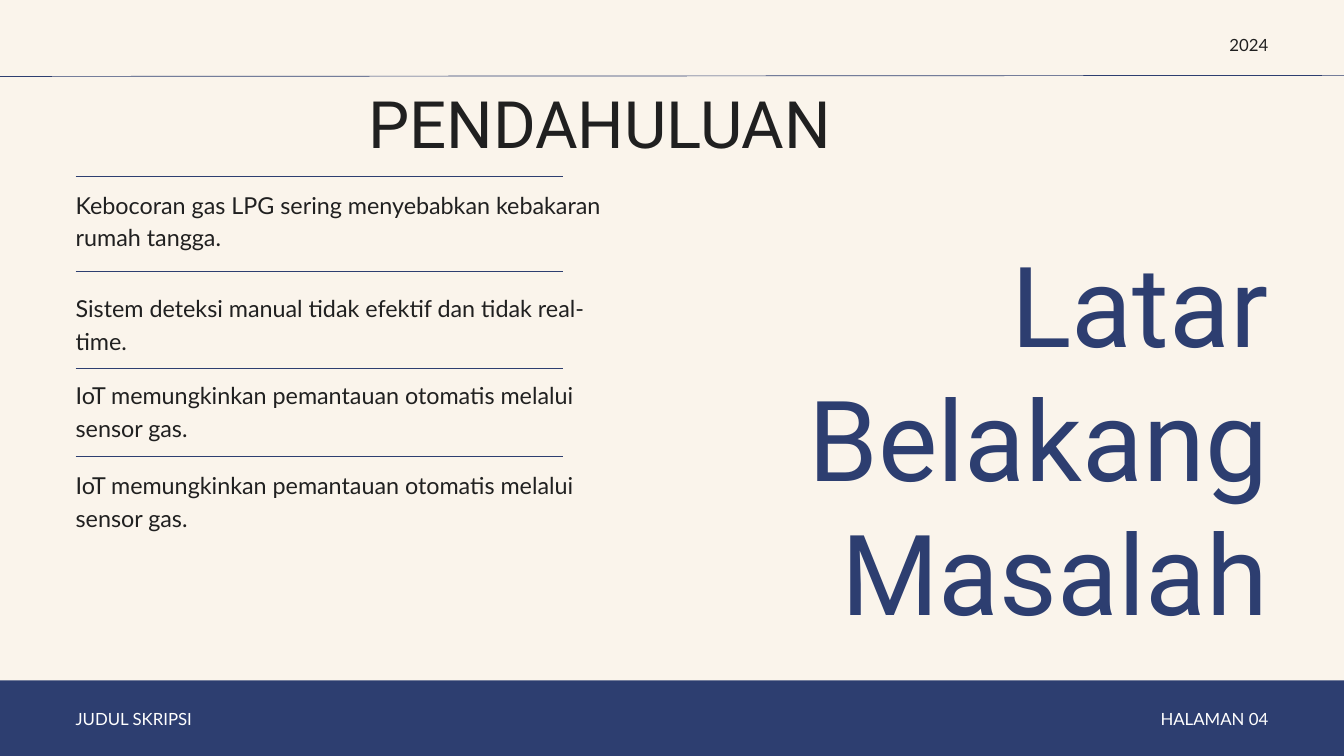
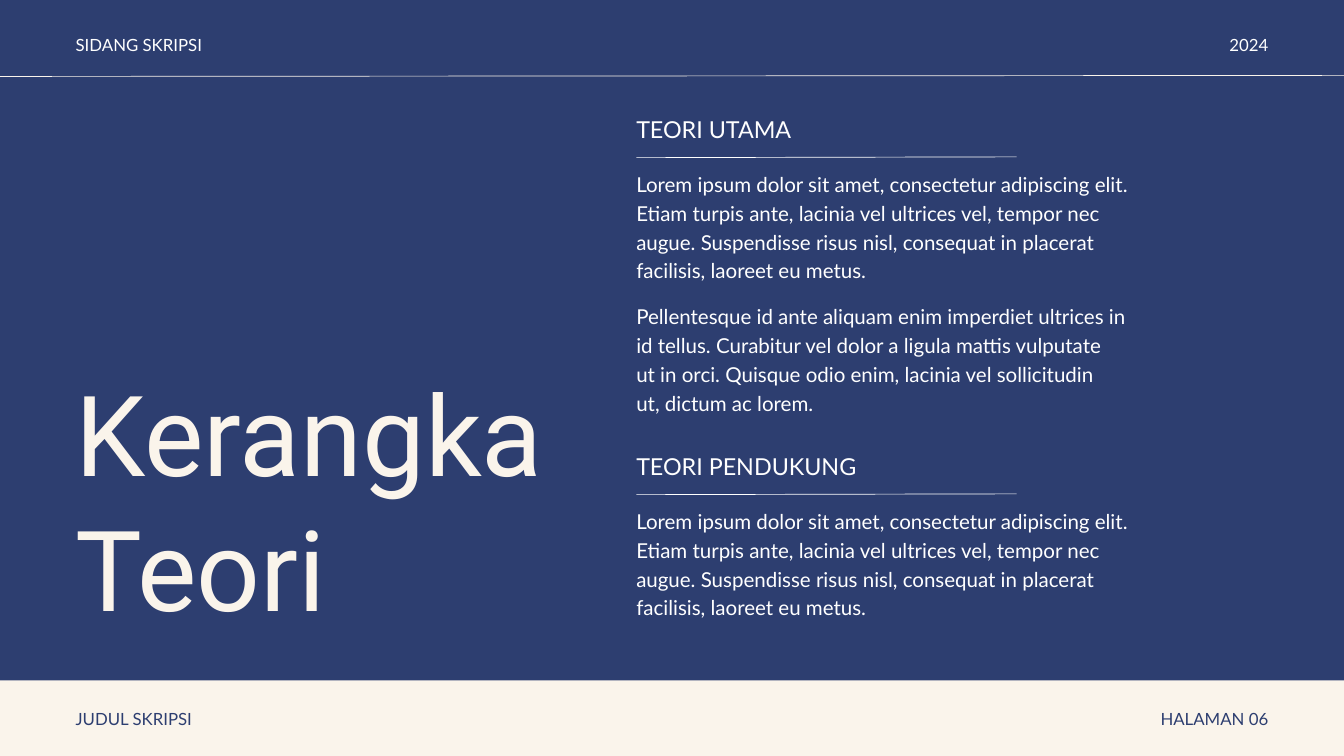
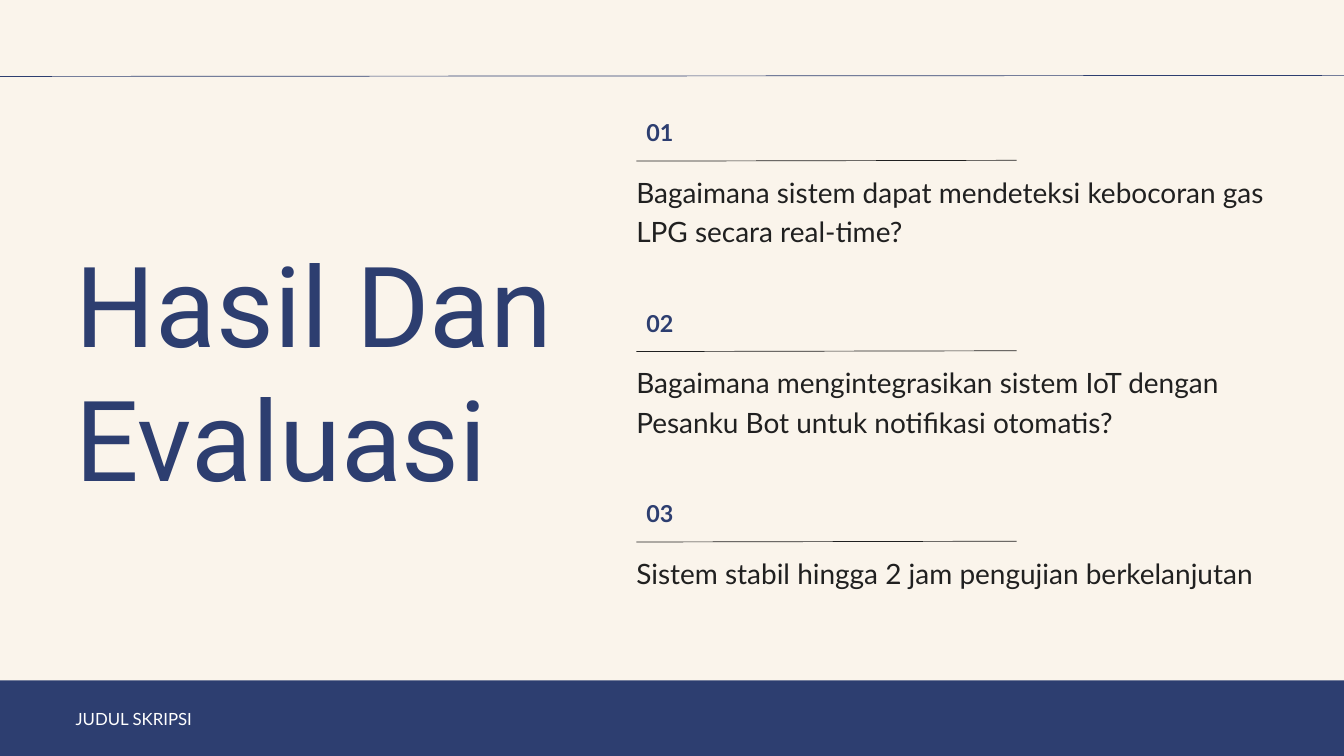
from lxml import etree
from pptx import Presentation
from pptx import util as u
from pptx.dml.color import RGBColor
from pptx.enum import shapes, text
from pptx.oxml.ns import qn

COLOURS = {"navy": "2D3E70", "cream": "FAF4EB", "ink": "202020", "white": "FFFFFF"}
THEMES = {
    "light": {"ground": "cream", "accent": "navy", "body": "ink", "band_text": "white"},
    "dark": {"ground": "navy", "accent": "cream", "body": "white", "band_text": "navy"},
}
LEFT, RIGHT = text.PP_ALIGN.LEFT, text.PP_ALIGN.RIGHT
CENTER = text.PP_ALIGN.CENTER

# All lengths are in centimetres.
WIDTH, HEIGHT = 50.8, 28.58
MARGIN = 2.86
RIGHT_EDGE = WIDTH - MARGIN
BAND_TOP = HEIGHT - MARGIN
LABEL_WIDTH = 13.02
HEADER_TOP, FOOTER_TOP = 1.19, 26.67
COLUMN = 24.05
COLUMN_WIDTH = RIGHT_EDGE - COLUMN
SECTION_RULE_WIDTH = 14.38
RULE_DROP = 1.78


def colour(name):
    return RGBColor.from_string(COLOURS[name])


class Deck:
    def __init__(self):
        self.prs = Presentation()
        self.prs.slide_width, self.prs.slide_height = u.Cm(WIDTH), u.Cm(HEIGHT)

    def page(self, theme, header="", year="", footer="", number=""):
        """Start a slide with its header line, footer band and corner labels."""
        self.theme = THEMES[theme]
        self.slide = self.prs.slides.add_slide(self.prs.slide_layouts[6])
        ground = self.slide.background.fill
        ground.solid()
        ground.fore_color.rgb = colour(self.theme["ground"])
        self.rule(0, 2.89, WIDTH, self.theme["accent"], rise=0.04)
        self.band()
        body, band_text = self.theme["body"], self.theme["band_text"]
        self.label(header, HEADER_TOP, body, LEFT)
        self.label(year, HEADER_TOP, body, RIGHT)
        self.label(footer, FOOTER_TOP, band_text, LEFT)
        self.label(number, FOOTER_TOP, band_text, RIGHT)

    def band(self):
        band = self.slide.shapes.add_shape(
            shapes.MSO_SHAPE.RECTANGLE, 0, u.Cm(BAND_TOP), u.Cm(WIDTH), u.Cm(MARGIN))
        band.shadow.inherit = False
        band.fill.solid()
        band.fill.fore_color.rgb = colour(self.theme["accent"])
        band.line.fill.background()

    def rule(self, left, top, width, shade, rise=0.0):
        rule = self.slide.shapes.add_connector(
            shapes.MSO_CONNECTOR.STRAIGHT, u.Cm(left), u.Cm(top),
            u.Cm(left + width), u.Cm(top - rise))
        rule.line.color.rgb = colour(shade)
        rule.line.width = u.Pt(0.75)
        etree.SubElement(rule._element.spPr, qn("a:effectLst"))

    def words(self, content, left, top, width, height, size, shade=None, align=LEFT,
              font="Lato", leading=1.4, bold=False):
        box = self.slide.shapes.add_textbox(
            u.Cm(left), u.Cm(top), u.Cm(width), u.Cm(height))
        frame = box.text_frame
        frame.word_wrap = True
        frame.auto_size = text.MSO_AUTO_SIZE.SHAPE_TO_FIT_TEXT
        frame.margin_left = frame.margin_right = 0
        frame.margin_top = frame.margin_bottom = 0
        frame.text = content
        for paragraph in frame.paragraphs:
            paragraph.alignment = align
            paragraph.line_spacing = u.Pt(size * leading)
            for run in paragraph.runs:
                run.font.name, run.font.size = font, u.Pt(size)
                run.font.bold = bold
                run.font.color.rgb = colour(shade or self.theme["body"])

    def label(self, content, top, shade, align):
        if content:
            left = MARGIN if align == LEFT else RIGHT_EDGE - LABEL_WIDTH
            self.words(content, left, top, LABEL_WIDTH, 0.86, 18, shade, align)

    def title(self, content, top, left=MARGIN, width=20.14, align=LEFT):
        self.words(content, left, top, width, 10.46, 120, self.theme["accent"], align,
                   font="Roboto", leading=1.2)

    def section(self, heading, body, top, body_drop, size, **heading_style):
        """Heading, rule and body text stacked in the right column."""
        heading_style = {"width": SECTION_RULE_WIDTH, **heading_style}
        self.words(heading, COLUMN, top, height=1.19, size=25, **heading_style)
        self.rule(COLUMN, top + RULE_DROP, SECTION_RULE_WIDTH, self.theme["body"], rise=0.03)
        self.column_text(body, top + body_drop, size)

    def column_text(self, content, top, size):
        self.words(content, COLUMN, top, COLUMN_WIDTH, 4.3, size)


def background_page(deck):
    deck.page("light", year="2024", footer="JUDUL SKRIPSI", number="HALAMAN 04")
    deck.words("PENDAHULUAN", 13.92, 2.64, 21.72, 3.48, 70, font="Roboto")
    deck.title("Latar Belakang Masalah", 8.89, left=23.35, width=24.59, align=RIGHT)
    iot = "IoT memungkinkan pemantauan otomatis melalui sensor gas."
    problems = [
        (6.68, 7.04, "Kebocoran gas LPG sering menyebabkan kebakaran rumah tangga."),
        (10.26, 10.95, "Sistem deteksi manual tidak efektif dan tidak real-time."),
        (13.92, 14.25, iot),
        (17.25, 17.65, iot),
    ]
    for rule_top, text_top, problem in problems:
        deck.rule(MARGIN, rule_top, 18.42, "navy")
        deck.words(problem, MARGIN, text_top, 20.5, 2.41, 25)


def theory_page(deck):
    deck.page("dark", "SIDANG SKRIPSI", "2024", "JUDUL SKRIPSI", "HALAMAN 06")
    deck.title("Kerangka\nTeori", 13.79)
    theory = ("Lorem ipsum dolor sit amet, consectetur adipiscing elit.\n"
              "Etiam turpis ante, lacinia vel ultrices vel, tempor nec\n"
              "augue. Suspendisse risus nisl, consequat in placerat\n"
              "facilisis, laoreet eu metus.")
    for heading, top in (("TEORI UTAMA", 4.18), ("TEORI PENDUKUNG", 16.92)):
        deck.section(heading, theory, top, body_drop=2.17, size=22)
    deck.column_text("Pellentesque id ante aliquam enim imperdiet ultrices in\n"
                     "id tellus. Curabitur vel dolor a ligula mattis vulputate\n"
                     "ut in orci. Quisque odio enim, lacinia vel sollicitudin\n"
                     "ut, dictum ac lorem.", 11.35, 22)


def results_page(deck):
    deck.page("light", footer="JUDUL SKRIPSI")
    deck.title("Hasil Dan Evaluasi", 8.89, width=19.76)
    results = [
        "Bagaimana sistem dapat mendeteksi kebocoran gas LPG secara real-time?",
        "Bagaimana mengintegrasikan sistem IoT dengan Pesanku Bot untuk notifikasi otomatis?",
        "Sistem stabil hingga 2 jam pengujian berkelanjutan",
    ]
    for i, result in enumerate(results):
        deck.section(f"{i + 1:02}", result, 4.31 + 7.2 * i, body_drop=2.11, size=30,
                     width=1.78, shade="navy", align=CENTER, bold=True)


def main():
    deck = Deck()
    background_page(deck)
    theory_page(deck)
    results_page(deck)
    deck.prs.save("out.pptx")


if __name__ == "__main__":
    main()
